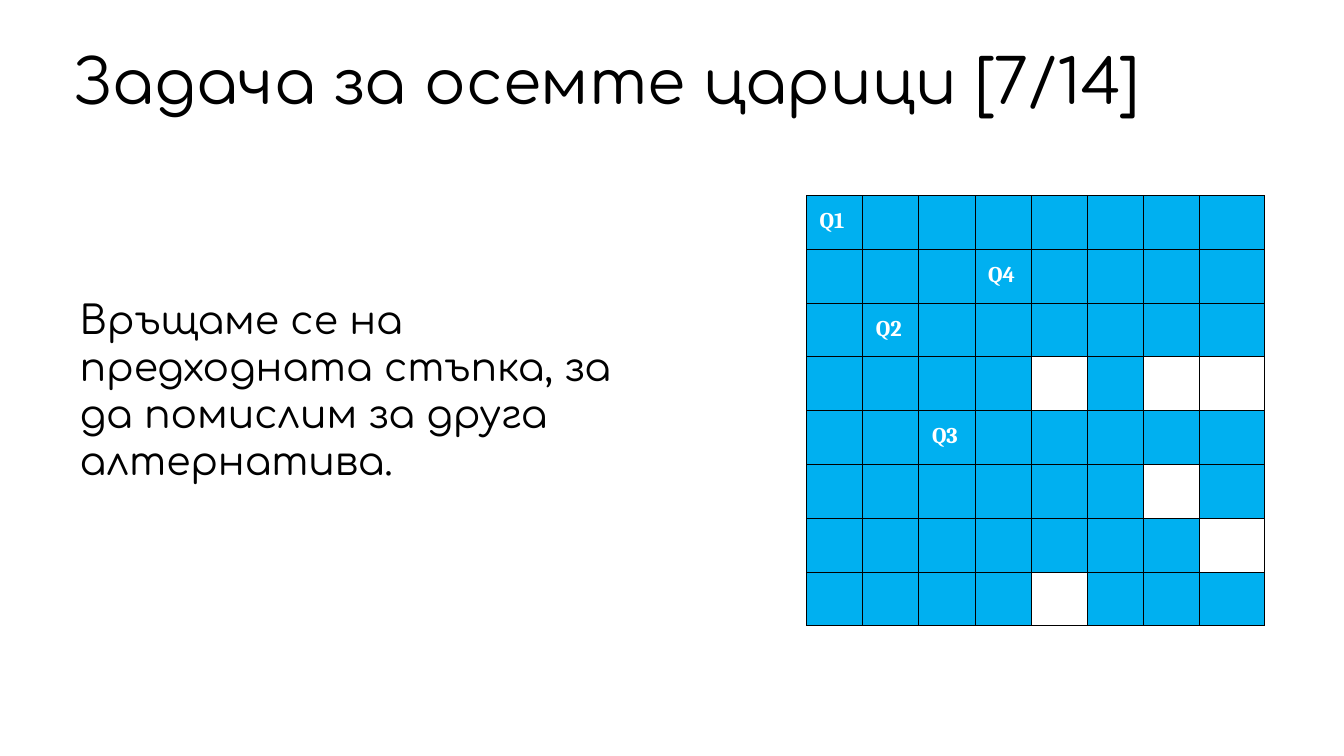
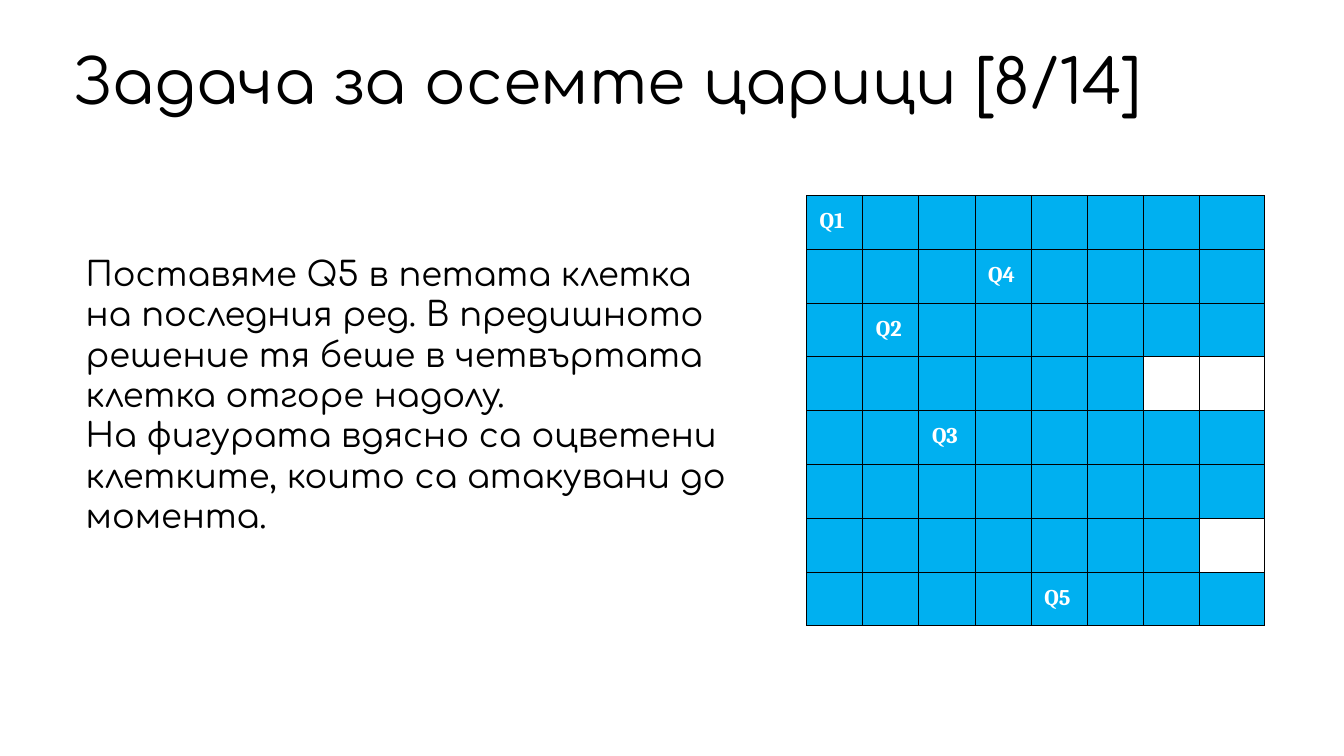
from lxml import etree
from pptx import Presentation
from pptx.dml.color import RGBColor
from pptx.enum.text import MSO_ANCHOR
from pptx.oxml.ns import qn
from pptx.util import Inches, Pt

TOP = MSO_ANCHOR.TOP
MIDDLE = MSO_ANCHOR.MIDDLE

COLORS = {"text": "000000", "attacked": "00B0F0", "queen": "FFFFFF", "border": "000000"}

TITLE_FORMAT = {"name": "Comfortaa", "size": Pt(44)}
QUEEN_FORMAT = {"name": "Cambria", "size": Pt(16), "bold": True}
TEXT_MARGINS = {
    "margin_left": Inches(0.12),
    "margin_right": Inches(0.12),
    "margin_top": Inches(0.04),
    "margin_bottom": Inches(0.04),
}
QUEEN_MARGINS = dict.fromkeys(TEXT_MARGINS, Inches(0.13))

TITLE_BOX = (0.61, 0.42, 12.12, 0.84)
BOARD_BOX = (8, 1.94, 4.54, 4.27)
BOARD_SIZE = 8
LAST_COLUMN = 0.64
BORDER_WIDTH = Pt(0.75)
FREE = "_"

SLIDES = [
    {
        "title": "Задача за осемте царици [7/14]",
        "box": (0.67, 2.89, 6.12, 3.83),
        "size": 28,
        "body": ["Връщаме се на предходната стъпка, за да помислим за друга алтернатива."],
        "board": [
            "1.......",
            "...4....",
            ".2......",
            "...._.__",
            "..3.....",
            "......_.",
            "......._",
            "...._...",
        ],
    },
    {
        "title": "Задача за осемте царици [8/14]",
        "box": (0.73, 2.47, 6.72, 3.66),
        "size": 24,
        "body": [
            "Поставяме Q5 в петата клетка на последния ред. "
            "В предишното решение тя беше в четвъртата клетка отгоре надолу.",
            "На фигурата вдясно са оцветени клетките, които са атакувани до момента.",
        ],
        "board": [
            "1.......",
            "...4....",
            ".2......",
            "......__",
            "..3.....",
            "........",
            "......._",
            "....5...",
        ],
    },
]


def set_values(target, values):
    for name, value in values.items():
        setattr(target, name, value)


def format_font(font, values, color):
    set_values(font, values)
    font.color.rgb = RGBColor.from_string(COLORS[color])


def add_text(slide, box, texts, font_values, anchor=TOP, line_spacing=None):
    frame = slide.shapes.add_textbox(*map(Inches, box)).text_frame
    set_values(frame, {**TEXT_MARGINS, "word_wrap": True, "vertical_anchor": anchor})
    frame.text = "\n".join(texts)
    for paragraph in frame.paragraphs:
        paragraph.line_spacing = line_spacing
        format_font(paragraph.font, font_values, "text")


def add_borders(cell):
    properties = cell._tc.get_or_add_tcPr()
    for side in ("a:lnL", "a:lnR", "a:lnT", "a:lnB"):
        line = etree.SubElement(properties, qn(side), w=str(BORDER_WIDTH))
        fill = etree.SubElement(line, qn("a:solidFill"))
        etree.SubElement(fill, qn("a:srgbClr"), val=COLORS["border"])


def fill_cell(cell, mark):
    add_borders(cell)
    if mark == FREE:
        cell.fill.background()
        return
    cell.fill.solid()
    cell.fill.fore_color.rgb = RGBColor.from_string(COLORS["attacked"])
    if mark.isdigit():
        set_values(cell, QUEEN_MARGINS)
        cell.text = f"Q{mark}"
        format_font(cell.text_frame.paragraphs[0].runs[0].font, QUEEN_FORMAT, "queen")


def add_board(slide, board):
    shape = slide.shapes.add_table(BOARD_SIZE, BOARD_SIZE, *map(Inches, BOARD_BOX))
    table = shape.table
    set_values(table, {"first_row": False, "horz_banding": False})
    width = BOARD_BOX[2]
    for column in table.columns:
        column.width = Inches((width - LAST_COLUMN) / (BOARD_SIZE - 1))
    table.columns[BOARD_SIZE - 1].width = Inches(LAST_COLUMN)
    for row, marks in zip(table.rows, board):
        for cell, mark in zip(row.cells, marks):
            fill_cell(cell, mark)


def add_queens_slide(presentation, content):
    slide = presentation.slides.add_slide(presentation.slide_layouts[6])
    body_format = {"name": "Comfortaa", "size": Pt(content["size"])}
    add_text(slide, content["box"], content["body"], body_format)
    add_board(slide, content["board"])
    add_text(slide, TITLE_BOX, [content["title"]], TITLE_FORMAT, MIDDLE, 0.9)


def main():
    presentation = Presentation()
    presentation.slide_width = Inches(13.33)
    presentation.slide_height = Inches(7.5)
    for content in SLIDES:
        add_queens_slide(presentation, content)
    presentation.save("out.pptx")


if __name__ == "__main__":
    main()
